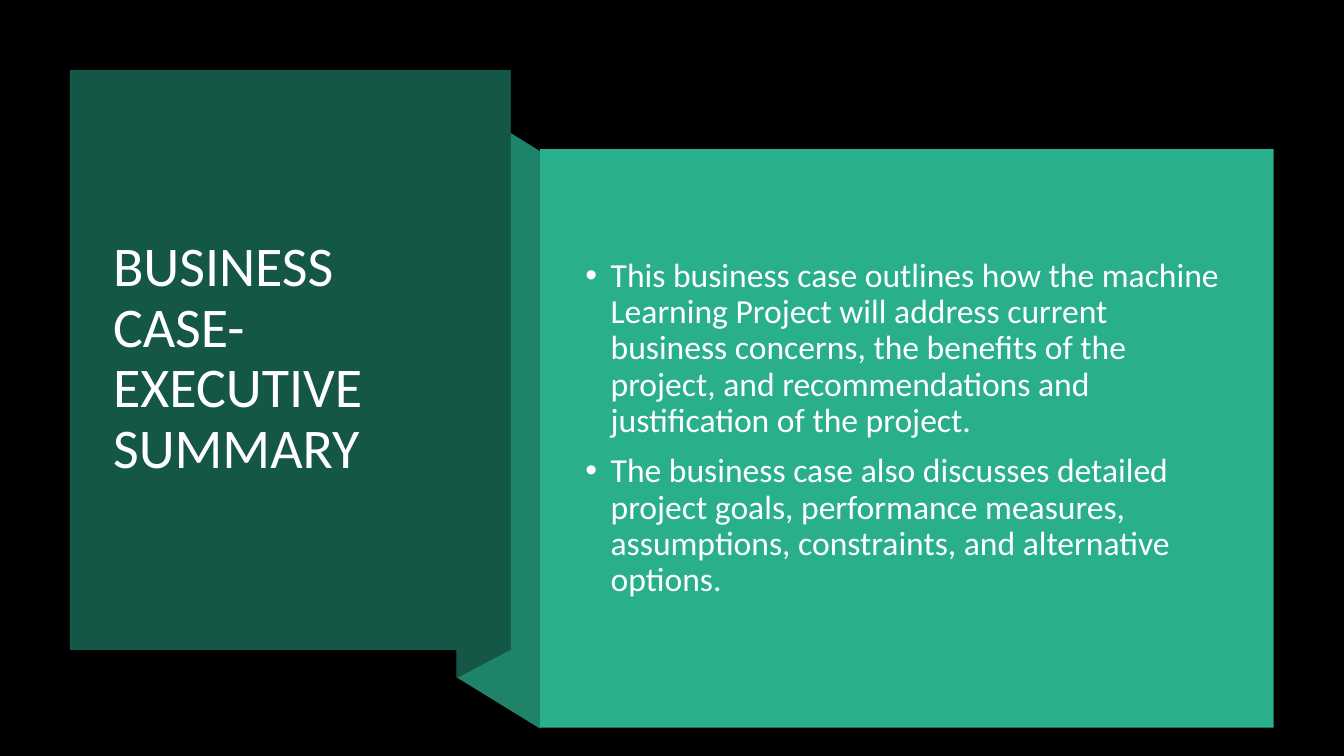
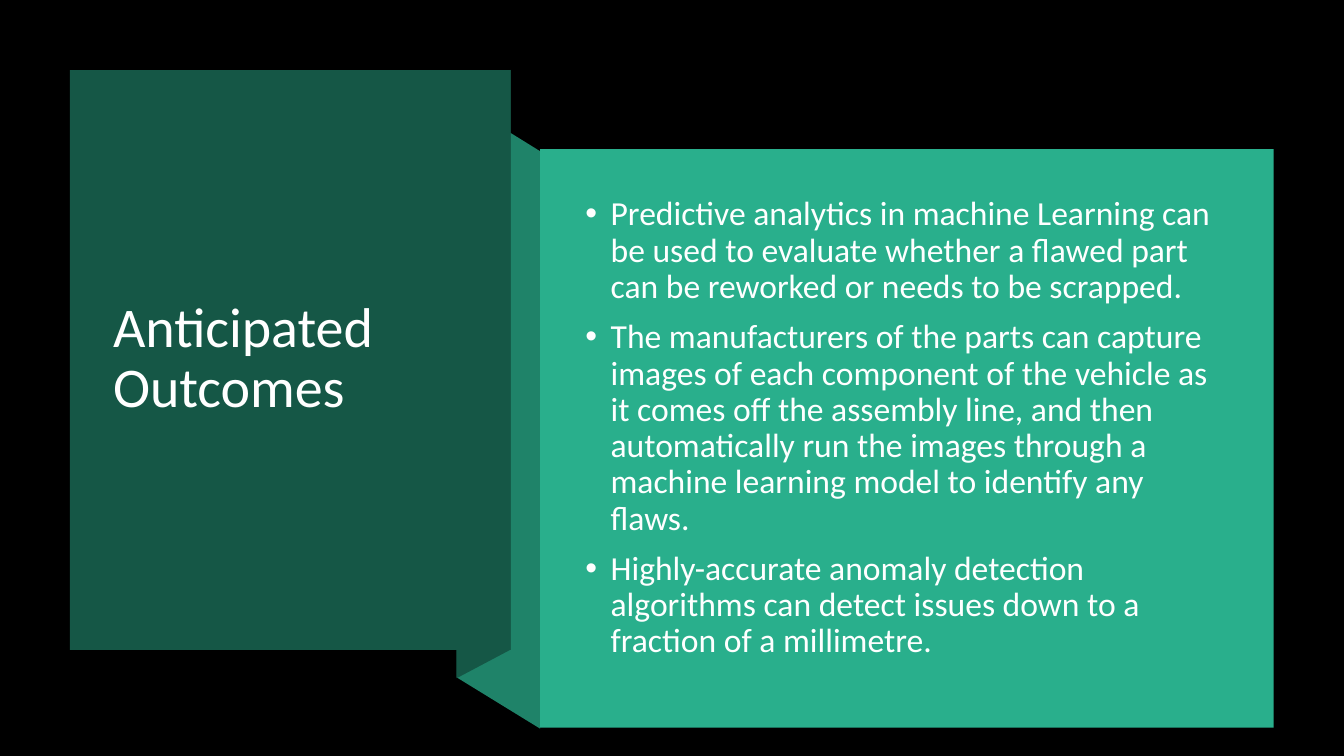
from dataclasses import dataclass

from lxml.etree import SubElement
from pptx import Presentation
from pptx.dml.color import RGBColor
from pptx.enum.shapes import MSO_SHAPE as Shape
from pptx.enum.text import MSO_ANCHOR as Anchor
from pptx.oxml.ns import qn
from pptx.util import Cm, Pt

# Shared look
BLACK = RGBColor(0x00, 0x00, 0x00)
WHITE = RGBColor(0xFF, 0xFF, 0xFF)
BODY_WHITE = RGBColor(0xFE, 0xFF, 0xFF)
DARK_GREEN = RGBColor(0x15, 0x57, 0x46)
MID_GREEN = RGBColor(0x1F, 0x83, 0x69)
LIGHT_GREEN = RGBColor(0x29, 0xAF, 0x8C)
FONT = "Calibri"
BULLET_INDENT = Cm(0.64)


@dataclass(frozen=True)
class Box:
    """Left, top, width and height in centimetres."""
    left: float
    top: float
    width: float
    height: float

    def lengths(self) -> tuple[Cm, Cm, Cm, Cm]:
        return Cm(self.left), Cm(self.top), Cm(self.width), Cm(self.height)


@dataclass(frozen=True)
class Fold:
    """A side of the ribbon, with its corners in centimetres."""
    corners: tuple[tuple[float, float], ...]
    color: RGBColor


@dataclass(frozen=True)
class TextStyle:
    box: Box
    size: int
    color: RGBColor
    bulleted: bool = False


@dataclass(frozen=True)
class Topic:
    title: str
    points: tuple[str, ...]


# Ribbon: two folds join the title panel to the body panel
FOLDS = (
    Fold(((13.61, 18.36), (11.51, 17.07), (11.51, 2.51), (13.61, 3.81)), MID_GREEN),
    Fold(((12.87, 16.37), (11.51, 17.09), (11.51, 2.49), (12.87, 1.76)), DARK_GREEN),
)
TITLE_PANEL = Box(1.76, 1.77, 11.11, 14.61)
BODY_PANEL = Box(13.61, 3.76, 18.49, 14.58)
TITLE_STYLE = TextStyle(Box(2.6, 2.72, 9.42, 12.67), 40, WHITE)
BODY_STYLE = TextStyle(Box(14.5, 4.78, 16.54, 12.04), 24, BODY_WHITE, bulleted=True)

TOPICS = (
    Topic("BUSINESS CASE- EXECUTIVE SUMMARY", (
        "This business case outlines how the machine Learning Project will address "
        "current business concerns, the benefits of the project, and recommendations "
        "and justification of the project.",
        "The business case also discusses detailed project goals, performance measures, "
        "assumptions, constraints, and alternative options.",
    )),
    Topic("Anticipated Outcomes", (
        "Predictive analytics in machine Learning can be used to evaluate whether a "
        "flawed part can be reworked or needs to be scrapped.",
        "The manufacturers of the parts can capture images of each component of the "
        "vehicle as it comes off the assembly line, and then automatically run the "
        "images through a machine learning model to identify any flaws.",
        "Highly-accurate anomaly detection algorithms can detect issues down to a "
        "fraction of a millimetre.",
    )),
)


def paint(shape, color: RGBColor) -> None:
    shape.shadow.inherit = False
    shape.fill.solid()
    shape.fill.fore_color.rgb = color
    shape.line.fill.background()


def add_fold(slide, fold: Fold) -> None:
    start, *others = [(Cm(x), Cm(y)) for x, y in fold.corners]
    outline = slide.shapes.build_freeform(*start)
    outline.add_line_segments(others, close=True)
    paint(outline.convert_to_shape(), fold.color)


def add_panel(slide, box: Box, color: RGBColor) -> None:
    paint(slide.shapes.add_shape(Shape.RECTANGLE, *box.lengths()), color)


def add_bullet(paragraph) -> None:
    properties = paragraph._p.get_or_add_pPr()
    properties.set("marL", str(BULLET_INDENT))
    properties.set("indent", str(-BULLET_INDENT))
    SubElement(properties, qn("a:buFont"), typeface="Arial")
    SubElement(properties, qn("a:buChar"), char="•")


def add_text(slide, texts: tuple[str, ...], style: TextStyle) -> None:
    frame = slide.shapes.add_textbox(*style.box.lengths()).text_frame
    frame.word_wrap = True
    frame.vertical_anchor = Anchor.MIDDLE
    for index, text in enumerate(texts):
        paragraph = frame.add_paragraph() if index else frame.paragraphs[0]
        paragraph.text = text
        if style.bulleted:
            add_bullet(paragraph)
        paragraph.line_spacing = 0.9
        if index:
            paragraph.space_before = Pt(10)
        paragraph.font.name = FONT
        paragraph.font.size = Pt(style.size)
        paragraph.font.color.rgb = style.color


def add_topic_slide(deck, topic: Topic) -> None:
    slide = deck.slides.add_slide(deck.slide_layouts[6])
    slide.background.fill.solid()
    slide.background.fill.fore_color.rgb = BLACK

    # Ribbon and title
    for fold in FOLDS:
        add_fold(slide, fold)
    add_panel(slide, TITLE_PANEL, DARK_GREEN)
    add_text(slide, (topic.title,), TITLE_STYLE)

    # Body
    add_panel(slide, BODY_PANEL, LIGHT_GREEN)
    add_text(slide, topic.points, BODY_STYLE)


def main() -> None:
    deck = Presentation()
    deck.slide_width, deck.slide_height = Cm(33.87), Cm(19.05)
    for topic in TOPICS:
        add_topic_slide(deck, topic)
    deck.save("out.pptx")


if __name__ == "__main__":
    main()
